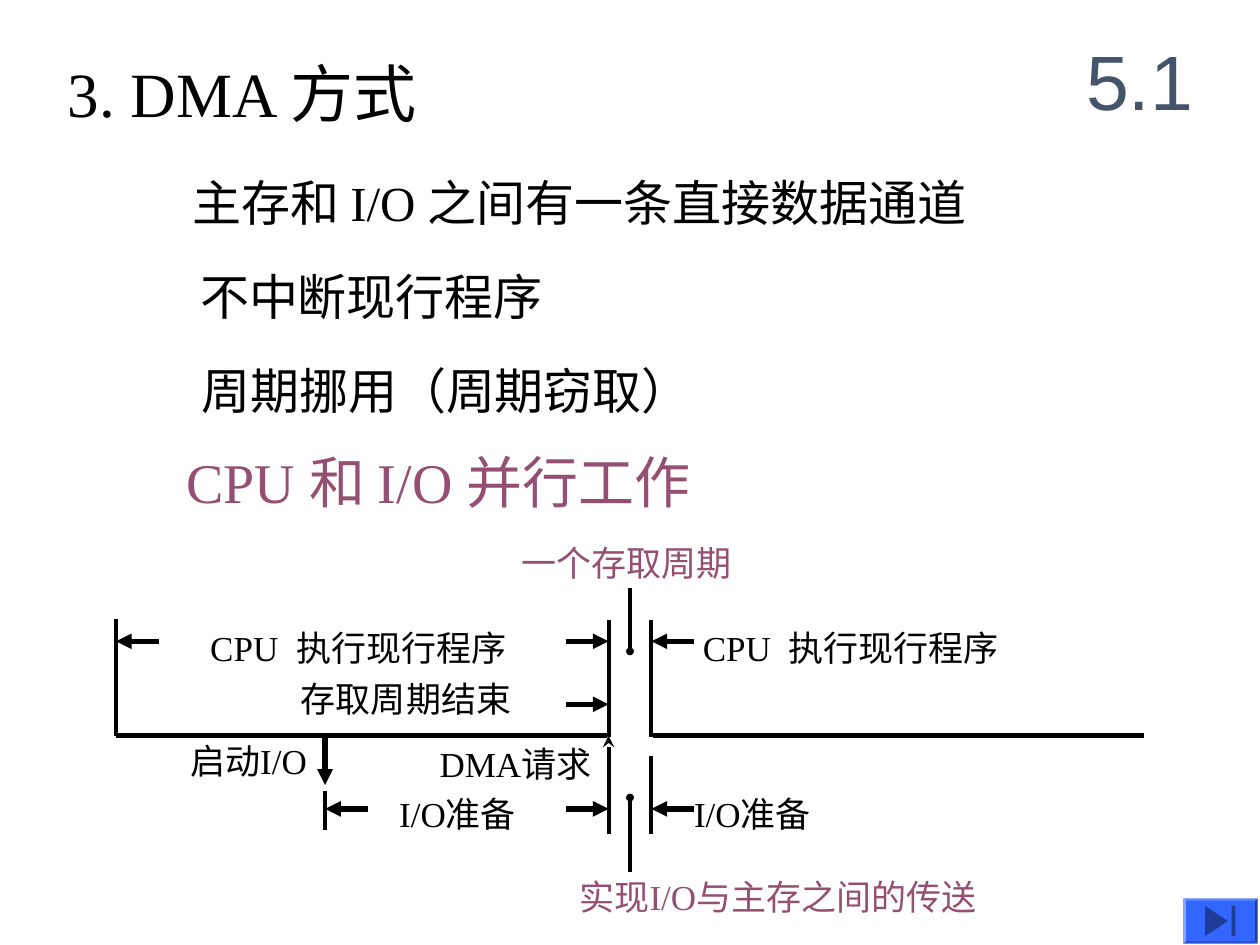
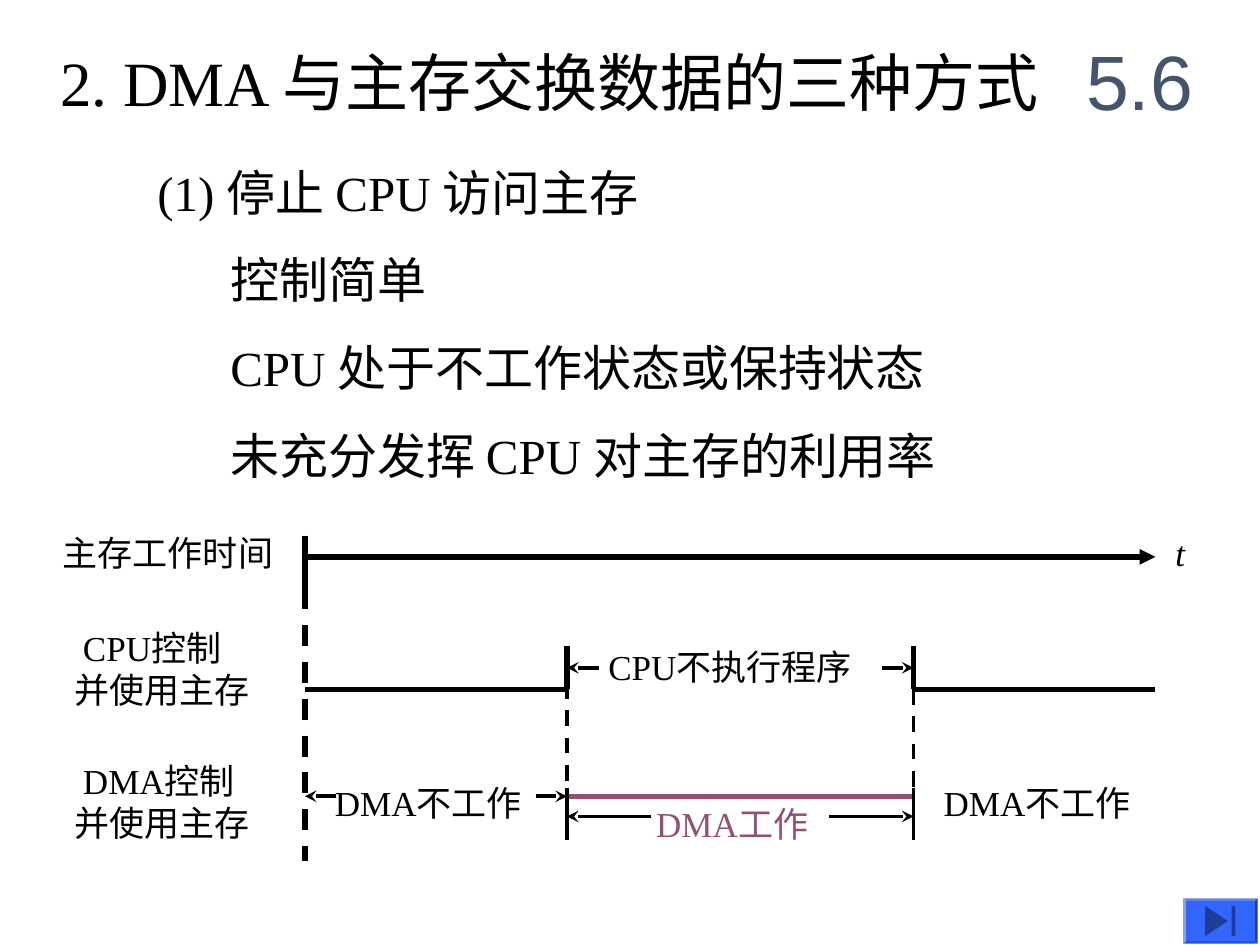
from dataclasses import dataclass
from typing import NamedTuple, Optional

from lxml import etree
from pptx import Presentation
from pptx import util as u
from pptx.dml.color import RGBColor
from pptx.enum import dml, shapes, text
from pptx.oxml.ns import qn
from pptx.slide import Slide


@dataclass(frozen=True)
class Theme:
    ink: RGBColor = RGBColor(0x00, 0x00, 0x00)
    accent: RGBColor = RGBColor(0x95, 0x4F, 0x72)
    section: RGBColor = RGBColor(0x44, 0x54, 0x6A)
    button: RGBColor = RGBColor(0x33, 0x66, 0xFF)
    serif: str = "Times New Roman"
    sans: str = "Arial"
    section_size: float = 44
    title_size: float = 36
    summary_size: float = 32
    point_size: float = 28
    label_size: float = 20
    thick: float = 3
    thin: float = 2.25


THEME = Theme()


class Label(NamedTuple):
    """One or more lines of text; the first may be indented."""
    words: str
    left: float
    top: float
    width: float
    height: float = 0.44
    size: float = THEME.label_size
    color: RGBColor = THEME.ink
    wrap: bool = False
    italic: Optional[bool] = None
    first_indent: float = 0


class Stroke(NamedTuple):
    """A straight line, with an optional arrowhead at its end."""
    x1: float
    y1: float
    x2: float
    y2: float
    weight: float = THEME.thin
    head: str = ""
    dashed: bool = False
    color: RGBColor = THEME.ink


# Drawing helpers
def add_words(paragraph, words: str, size: float, color: RGBColor,
              font: str = THEME.serif, italic: Optional[bool] = None) -> None:
    run = paragraph.add_run()
    run.text = words
    run.font.name, run.font.size, run.font.italic = font, u.Pt(size), italic
    run.font.color.rgb = color


def draw_label(slide: Slide, label: Label) -> None:
    box = slide.shapes.add_textbox(u.Inches(label.left), u.Inches(label.top),
                                   u.Inches(label.width), u.Inches(label.height))
    frame = box.text_frame
    frame.word_wrap = label.wrap
    frame.auto_size = text.MSO_AUTO_SIZE.SHAPE_TO_FIT_TEXT
    if not label.wrap:
        # Spare room on the right keeps a tight line from breaking
        frame.margin_right = u.Inches(0.04)
    for index, words in enumerate(label.words.split("\n")):
        paragraph = frame.add_paragraph() if index else frame.paragraphs[0]
        if label.first_indent and not index:
            paragraph._p.get_or_add_pPr().set("marL", str(u.Inches(label.first_indent)))
        add_words(paragraph, words, label.size, label.color, italic=label.italic)


def draw_stroke(slide: Slide, stroke: Stroke) -> None:
    connector = slide.shapes.add_connector(
        shapes.MSO_CONNECTOR.STRAIGHT, u.Inches(stroke.x1), u.Inches(stroke.y1),
        u.Inches(stroke.x2), u.Inches(stroke.y2))
    connector.line.color.rgb = stroke.color
    connector.line.width = u.Pt(stroke.weight)
    if stroke.dashed:
        connector.line.dash_style = dml.MSO_LINE.DASH
    properties = connector._element.spPr
    if stroke.head:
        scale = "sm" if stroke.head == "oval" else "med"
        etree.SubElement(properties.find(qn("a:ln")), qn("a:tailEnd"),
                         type=stroke.head, w=scale, len=scale)
    etree.SubElement(properties, qn("a:effectLst"))


def draw_all(slide: Slide, strokes: list[Stroke], labels: list[Label]) -> None:
    for stroke in strokes:
        draw_stroke(slide, stroke)
    for label in labels:
        draw_label(slide, label)


def level(x1: float, x2: float, y: float, weight: float = THEME.thick,
          head: str = "", color: RGBColor = THEME.ink) -> Stroke:
    return Stroke(x1, y, x2, y, weight, head, color=color)


def upright(x: float, y1: float, y2: float, weight: float = THEME.thin,
            head: str = "", dashed: bool = False) -> Stroke:
    return Stroke(x, y1, x, y2, weight, head, dashed)


# Parts on every slide
def draw_end_button(slide: Slide) -> None:
    """A bevelled rim with the button face set inside it."""
    rim = 0.02
    for preset, inset in [(shapes.MSO_SHAPE.BEVEL, 0),
                          (shapes.MSO_SHAPE.ACTION_BUTTON_END, rim)]:
        part = slide.shapes.add_shape(
            preset, u.Inches(9.39 + inset), u.Inches(7.13 + inset),
            u.Inches(0.59 - 2 * inset), u.Inches(0.36 - 2 * inset))
        part.shadow.inherit = False
        part.fill.solid()
        part.fill.fore_color.rgb = THEME.button
        part.line.fill.background()
        if not inset:
            part.adjustments[0] = rim / 0.36


def start_slide(deck, section: str, title: Label) -> Slide:
    slide = deck.slides.add_slide(deck.slide_layouts[6])
    draw_label(slide, title)

    corner = slide.shapes.add_textbox(u.Inches(8.42), u.Inches(0.17),
                                      u.Inches(1.25), u.Inches(0.92))
    frame = corner.text_frame
    frame.word_wrap = True
    frame.vertical_anchor = text.MSO_ANCHOR.MIDDLE
    frame.paragraphs[0].alignment = text.PP_ALIGN.CENTER
    add_words(frame.paragraphs[0], section, THEME.section_size, THEME.section, THEME.sans)

    draw_end_button(slide)
    return slide


def title_label(words: str, left: float, top: float, width: float) -> Label:
    return Label(words, left, top, width, 0.7, THEME.title_size)


def point_label(words: str, left: float, top: float, width: float,
                wrap: bool = False) -> Label:
    return Label(words, left, top, width, 0.57, THEME.point_size, wrap=wrap)


# Slide 5.1: DMA steals one memory cycle
def build_cycle_stealing(deck) -> None:
    slide = start_slide(deck, "5.1", title_label("3. DMA 方式", 0.44, 0.38, 3.11))
    begin, launch, request, resume, finish = 0.92, 2.58, 4.83, 5.17, 9.08
    middle = (request + resume) / 2
    axis, cpu_row, cycle_end_row, io_row = 5.84, 5.09, 5.59, 6.42
    arrow = 0.34

    strokes = [
        level(begin, request - 0.01, axis),
        level(resume + 0.01, finish, axis),
        upright(begin, 4.91, axis),
        upright(request, 4.92, 5.85),
        upright(resume, 4.92, 5.85),
        upright(request, 6.62, axis, head="stealth"),
        upright(resume, 6, 6.62),
        upright(launch, 5.82, 6.23, THEME.thick, "triangle"),
        upright(launch, 6.28, 6.59),
        upright(middle, 4.67, 5.17, head="oval"),
        upright(middle, 6.92, 6.33, head="oval"),
    ]
    # Arrows that close each interval; the sign says which side they come from
    for tip, row, side in [(begin, cpu_row, 1), (request, cpu_row, -1),
                           (resume, cpu_row, 1), (request, cycle_end_row, -1),
                           (launch, io_row, 1), (request, io_row, -1),
                           (resume, io_row, 1)]:
        strokes.append(level(tip + side * arrow, tip, row, head="triangle"))

    labels = [
        point_label("主存和 I/O 之间有一条直接数据通道", 1.43, 1.32, 6.52),
        point_label("不中断现行程序", 1.49, 2.07, 2.92),
        point_label("周期挪用（周期窃取）", 1.5, 2.81, 4.08),
        Label("CPU 和 I/O 并行工作", 1.38, 3.5, 4.52, 0.64,
              THEME.summary_size, THEME.accent),
        Label("存取周期结束", 2.29, 5.33, 1.87),
        Label("DMA请求", 3.39, axis, 1.47),
        Label("启动I/O", 1.41, 5.82, 1.19),
        Label("一个存取周期", 4.04, 4.25, 1.87, color=THEME.accent),
        Label("实现I/O与主存之间的传送", 4.5, 6.9, 3.58, color=THEME.accent, wrap=True),
    ]
    labels += [Label("CPU  执行现行程序", left, 4.92, 2.61) for left in (1.57, 5.48)]
    labels += [Label("I/O准备", left, 6.24, 1.19) for left in (3.07, 5.41)]
    draw_all(slide, strokes, labels)


# Slide 5.6: DMA stops the CPU from using memory
def build_cpu_stop(deck) -> None:
    slide = start_slide(
        deck, "5.6", title_label("2. DMA 与主存交换数据的三种方式", 0.38, 0.3, 8.11))
    origin, stop, restart, finish = 2.42, 4.5, 7.25, 9.17
    time_row, cpu_row, idle_row, dma_row, work_row = 4.42, 5.47, 5.3, 6.32, 6.48
    arrow = 0.25

    strokes = [
        upright(origin, 4.25, 4.67, THEME.thick),
        level(origin, finish, time_row, head="triangle"),
        upright(origin, 4.67, 6.83, THEME.thick, dashed=True),
        level(origin, stop, cpu_row),
        level(restart, finish, cpu_row),
        upright(stop, 5.42, 6.33, dashed=True),
        upright(restart, 5.25, 6.33, dashed=True),
        level(stop, restart, dma_row, color=THEME.accent),
    ]
    for edge in (stop, restart):
        strokes += [upright(edge, 5.13, cpu_row, THEME.thick),
                    upright(edge, 6.25, 6.67)]
    for tip, row, reach in [(stop, idle_row, arrow), (restart, idle_row, -arrow),
                            (origin, dma_row, arrow), (stop, dma_row, -arrow),
                            (stop, work_row, 0.67), (restart, work_row, -0.67)]:
        strokes.append(level(tip + reach, tip, row, THEME.thin, "stealth"))

    labels = [point_label("(1) 停止 CPU 访问主存", 1.15, 1.24, 5.68, True)]
    remarks = [("控制简单", 3.85), ("CPU 处于不工作状态或保持状态", 6.43),
               ("未充分发挥 CPU 对主存的利用率", 6.77)]
    labels += [point_label(words, 1.73, 1.93 + 0.7 * row, width, True)
               for row, (words, width) in enumerate(remarks)]
    labels += [
        Label("主存工作时间", 0.4, 4.17, 1.87),
        Label("t", 9.23, 4.17, 0.27, italic=True),
        Label("CPU不执行程序", 4.73, 5.07, 2.2),
        Label("DMA工作", 5.11, dma_row, 1.47, color=THEME.accent),
    ]
    labels += [Label("DMA不工作", left, 6.15, 1.75) for left in (2.56, 7.39)]
    labels += [Label(f"{owner}控制\n并使用主存", 0.49, top, 1.59, 0.77, first_indent=0.07)
               for owner, top in (("CPU", 4.92), ("DMA", 5.98))]
    draw_all(slide, strokes, labels)


def main() -> None:
    deck = Presentation()
    deck.slide_width, deck.slide_height = u.Inches(10), u.Inches(7.5)
    build_cycle_stealing(deck)
    build_cpu_stop(deck)
    deck.save("out.pptx")


if __name__ == "__main__":
    main()
